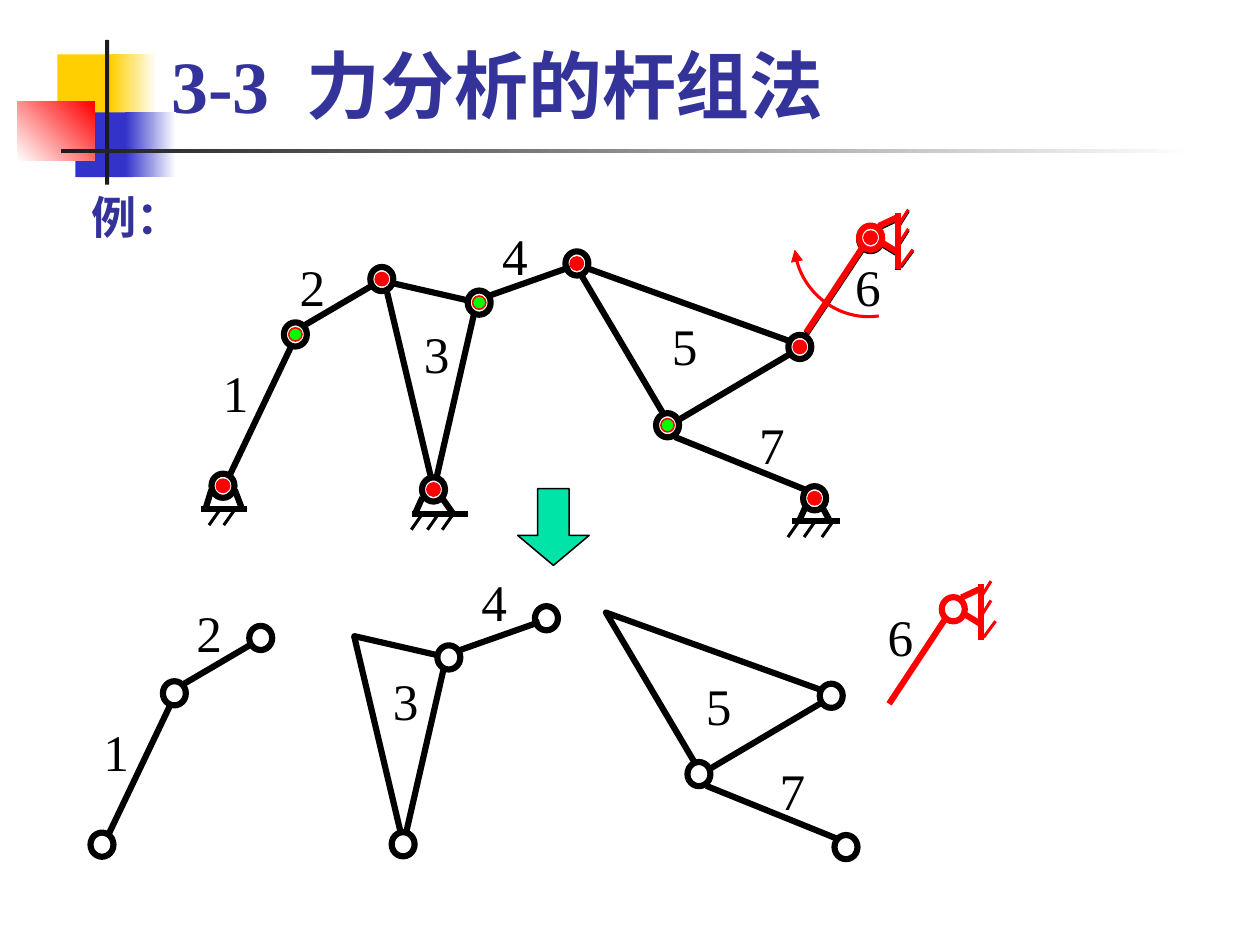
from dataclasses import dataclass

from lxml import etree
from pptx import Presentation
from pptx.dml.color import RGBColor
from pptx.enum import shapes, text
from pptx.oxml import ns
from pptx.util import Pt

BLACK = RGBColor(0, 0, 0)
WHITE = RGBColor(255, 255, 255)
RED = RGBColor(255, 0, 0)
GREEN = RGBColor(0, 255, 0)
MINT = RGBColor(0x00, 0xE4, 0xA8)
NAVY = RGBColor(0x33, 0x33, 0x99)
BLUE = RGBColor(0x33, 0x33, 0xCC)
YELLOW = RGBColor(0xFF, 0xCF, 0x01)
CHARCOAL = RGBColor(0x1C, 0x1C, 0x1C)
FONT = "Times New Roman"
THICK, THIN, HAIR = 3, 1.5, 0.75

Point = tuple[float, float]
Segment = tuple[float, float, float, float]
Frame = tuple[float, float, float, float]
Preset = shapes.MSO_SHAPE


@dataclass(frozen=True)
class Joint:
    x: float
    y: float
    pin: RGBColor = RED


@dataclass(frozen=True)
class Triangle:
    frame: Frame
    rotation: float


@dataclass(frozen=True)
class LinkGroup:
    """Links that stay together, with the shift to their separated place."""
    shift: Point
    joints: tuple[Joint, ...]
    bars: tuple[Segment, ...]
    triangle: Triangle | None = None
    hatches: tuple[Segment, ...] = ()
    colour: RGBColor = BLACK


@dataclass(frozen=True)
class Support:
    left: float
    right: float
    base: float
    leg_top: float
    legs: tuple[Point, Point]
    hatches: tuple[float, ...]


@dataclass(frozen=True)
class Block:
    frame: Frame
    start: RGBColor
    end: RGBColor | None = None
    angle: float = 0


BLOCKS = (
    Block((28, 26.6, 29.6, 31.7), YELLOW),
    Block((54, 26.6, 22.3, 31.7), YELLOW, WHITE),
    Block((36.7, 54.8, 28.2, 31.7), BLUE),
    Block((61.2, 54.8, 24.5, 31.7), BLUE, WHITE),
    Block((8.5, 49.7, 37.5, 28.4), WHITE, RED, 45),
    Block((51.2, 19.4, 2, 70.6), CHARCOAL),
    Block((29.7, 72.5, 553, 2.1), CHARCOAL, WHITE),
)
DYAD_57 = LinkGroup(
    (15.3, 170.1),
    (Joint(325.4, 207.4, GREEN), Joint(389.9, 169.2), Joint(397.1, 243)),
    ((329, 213.1, 393.1, 239),),
    Triangle((298.1, 103, 75.6, 91.4), 329.4),
)
DYAD_34 = LinkGroup(
    (-14.8, 173),
    (Joint(233.6, 147.6, GREEN), Joint(211.3, 238.7), Joint(281.2, 128.5)),
    ((239, 144, 277.9, 130.3),),
    Triangle((176.4, 141.1, 46.1, 93.6), 192.9),
)
DYAD_12 = LinkGroup(
    (-59, 175),
    (Joint(108.7, 236.9), Joint(144, 163.1, GREEN), Joint(186.1, 136.1)),
    ((112.3, 231.1, 141.8, 169.2), (147.6, 159.1, 180.7, 139.7)),
)
CRANK = LinkGroup(
    (40.3, 181.2),
    (Joint(424.4, 115.9),),
    ((393.1, 162, 421.2, 119.5), (437.8, 103.7, 437.8, 131),
     (428.4, 110.2, 437.8, 105.8), (428.4, 117.4, 437.8, 123.1)),
    hatches=((442.8, 102.2, 437.8, 110.2), (442.8, 111.6, 437.8, 119.5),
             (445, 121.7, 439.2, 129.6)),
    colour=RED,
)
GROUPS = (DYAD_57, DYAD_34, DYAD_12, CRANK)
SUPPORTS = (
    Support(97.9, 120.2, 248.4, 239, ((103, 100.1), (114.5, 118.1)), (107.3, 114.5)),
    Support(200.9, 228.2, 250.6, 242.6, ((205.9, 202.3), (215.3, 221)), (205.9, 213.8, 221)),
    Support(385.9, 409.7, 254.2, 246.2, ((393.1, 389.5), (400.3, 404.6)), (389.5, 397.4, 406.1)),
)
LABELS: dict[str, tuple[Point, Point]] = {
    "1": ((100.8, 172.8), (42.5, 347.8)),
    "2": ((138.2, 121), (87.8, 289.4)),
    "3": ((198.7, 153.4), (183.6, 322.6)),
    "4": ((236.9, 105.8), (226.8, 274.3)),
    "5": ((319.7, 149.8), (336.2, 325.4)),
    "6": ((409, 121), (424.8, 291.6)),
    "7": ((362.2, 198), (372.2, 366.5)),
}
TURN_CURVE: tuple[Point, ...] = ((428.4, 154.1), (408.2, 157), (389.5, 141.8), (387.4, 121.7))


def add_preset(page, preset, frame: Frame, fill: RGBColor | None,
               line: RGBColor | None = None, weight: float = THICK):
    shape = page.shapes.add_shape(preset, *map(Pt, frame))
    shape.shadow.inherit = False
    if fill is not None:
        shape.fill.solid()
        shape.fill.fore_color.rgb = fill
    if line is None:
        shape.line.fill.background()
    else:
        shape.line.color.rgb = line
        shape.line.width = Pt(weight)
    return shape


def add_line(page, segment: Segment, colour: RGBColor = BLACK, weight: float = THICK) -> None:
    line = page.shapes.add_connector(shapes.MSO_CONNECTOR.STRAIGHT, *map(Pt, segment))
    line.line.color.rgb = colour
    line.line.width = Pt(weight)
    etree.SubElement(line._element.spPr, ns.qn("a:effectLst"))


def add_disc(page, joint: Joint, width: float, height: float,
             fill: RGBColor, line: RGBColor, weight: float) -> None:
    frame = (joint.x - width / 2, joint.y - height / 2, width, height)
    add_preset(page, Preset.OVAL, frame, fill, line, weight)


def add_block(page, block: Block) -> None:
    shape = add_preset(page, Preset.RECTANGLE, block.frame, block.start)
    if block.end is not None:
        shape.fill.gradient()
        shape.fill.gradient_angle = block.angle
        for stop, colour in zip(shape.fill.gradient_stops, (block.start, block.end)):
            stop.color.rgb = colour


def add_group(page, group: LinkGroup, shift: Point, colour: RGBColor) -> None:
    dx, dy = shift
    if group.triangle:
        left, top, width, height = group.triangle.frame
        shape = add_preset(page, Preset.RIGHT_TRIANGLE, (left + dx, top + dy, width, height),
                           WHITE, colour)
        shape.rotation = group.triangle.rotation
    for joint in group.joints:
        add_disc(page, Joint(joint.x + dx, joint.y + dy), 11.2, 11.8, WHITE, colour, THICK)
    for segments, weight in ((group.bars, THICK), (group.hatches, THIN)):
        for x1, y1, x2, y2 in segments:
            add_line(page, (x1 + dx, y1 + dy, x2 + dx, y2 + dy), colour, weight)


def add_support(page, support: Support) -> None:
    for x in support.hatches:
        add_line(page, (x, support.base, x - 5.4, support.base + 7.7), weight=THIN)
    add_line(page, (support.left, support.base, support.right, support.base))
    for top_x, foot_x in support.legs:
        add_line(page, (top_x, support.leg_top, foot_x, support.base))


def add_turn_arrow(page, steps: int = 24) -> None:
    """Draw the cubic curve that shows which way the crank turns."""
    def at(t: float) -> Point:
        weights = ((1 - t) ** 3, 3 * t * (1 - t) ** 2, 3 * t * t * (1 - t), t ** 3)
        x, y = (sum(w * p[axis] for w, p in zip(weights, TURN_CURVE)) for axis in (0, 1))
        return Pt(x), Pt(y)

    builder = page.shapes.build_freeform(*at(0))
    builder.add_line_segments([at(i / steps) for i in range(1, steps + 1)], close=False)
    arrow = builder.convert_to_shape()
    arrow.shadow.inherit = False
    arrow.fill.background()
    arrow.line.color.rgb = RED
    arrow.line.width = Pt(THIN)
    etree.SubElement(arrow.line._get_or_add_ln(), ns.qn("a:tailEnd"), type="triangle")


def style_span(span, size: float, colour: RGBColor, bold: bool = False) -> None:
    span.font.name = FONT
    span.font.size = Pt(size)
    span.font.bold = bold
    span.font.color.rgb = colour


def set_margins(frame, side: float, end: float) -> None:
    frame.margin_left = frame.margin_right = Pt(side)
    frame.margin_top = frame.margin_bottom = Pt(end)


def add_text(page, words: str, frame: Frame, margins: Point, size: float,
             colour: RGBColor, bold: bool = False, wrap: bool = False) -> None:
    box = page.shapes.add_textbox(*map(Pt, frame))
    box.text_frame.word_wrap = wrap
    set_margins(box.text_frame, *margins)
    box.text_frame.text = words
    style_span(box.text_frame.paragraphs[0].runs[0], size, colour, bold)


def set_title(page) -> None:
    title = page.shapes.title
    title.left, title.top, title.width, title.height = map(Pt, (77, 15.8, 523.4, 49.7))
    frame = title.text_frame
    frame.auto_size = text.MSO_AUTO_SIZE.NONE
    frame.vertical_anchor = text.MSO_ANCHOR.BOTTOM
    set_margins(frame, 6.5, 2.9)
    para = frame.paragraphs[0]
    para.alignment = text.PP_ALIGN.LEFT
    for words in ("3-3", " ", "力分析的杆组法"):
        span = para.add_run()
        span.text = words
        style_span(span, 36, NAVY, True)
    para.runs[1].font._element.set("spc", "900")


def main() -> None:
    deck = Presentation()
    deck.slide_width, deck.slide_height = Pt(614.2), Pt(460.8)
    page = deck.slides.add_slide(deck.slide_layouts[5])
    set_title(page)
    for block in BLOCKS:
        add_block(page, block)
    add_text(page, "例：", (38.2, 89.3, 560.9, 43.2), (6.5, 2.9), 22, NAVY, True, True)
    add_group(page, CRANK, (0, 0.7), BLACK)
    for group in GROUPS:
        add_group(page, group, (0, 0), group.colour)
        add_group(page, group, group.shift, group.colour)
    for support in SUPPORTS:
        add_support(page, support)
    for joint in (joint for group in GROUPS for joint in group.joints):
        add_disc(page, joint, 6.5, 6.5, joint.pin, RED, HAIR)
    add_turn_arrow(page)
    arrow = add_preset(page, Preset.DOWN_ARROW, (252.4, 238.3, 34.8, 37.4), MINT, BLACK, HAIR)
    arrow.adjustments[0], arrow.adjustments[1] = 0.44, 0.42
    for digit, places in LABELS.items():
        for left, top in places:
            add_text(page, digit, (left, top, 28, 37.4), (7.9, 3.6), 25, BLACK)
    deck.save("out.pptx")


if __name__ == "__main__":
    main()
